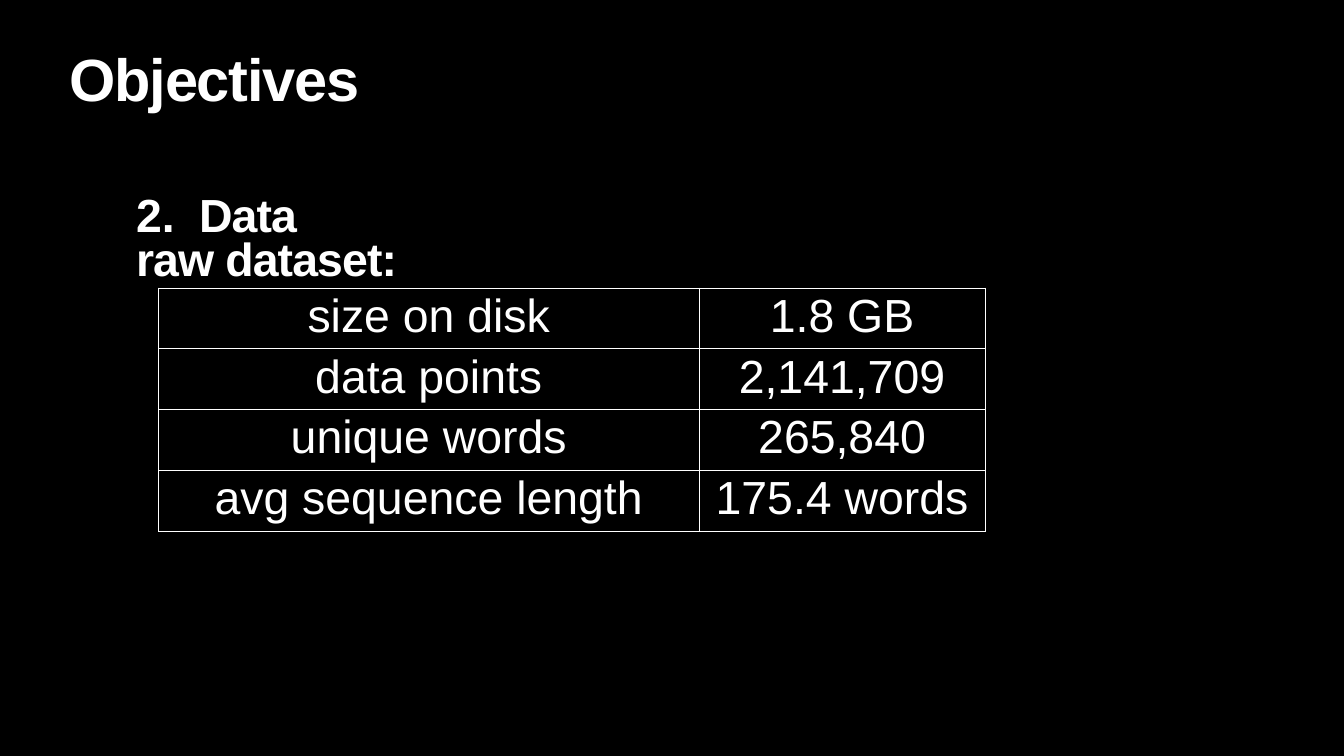
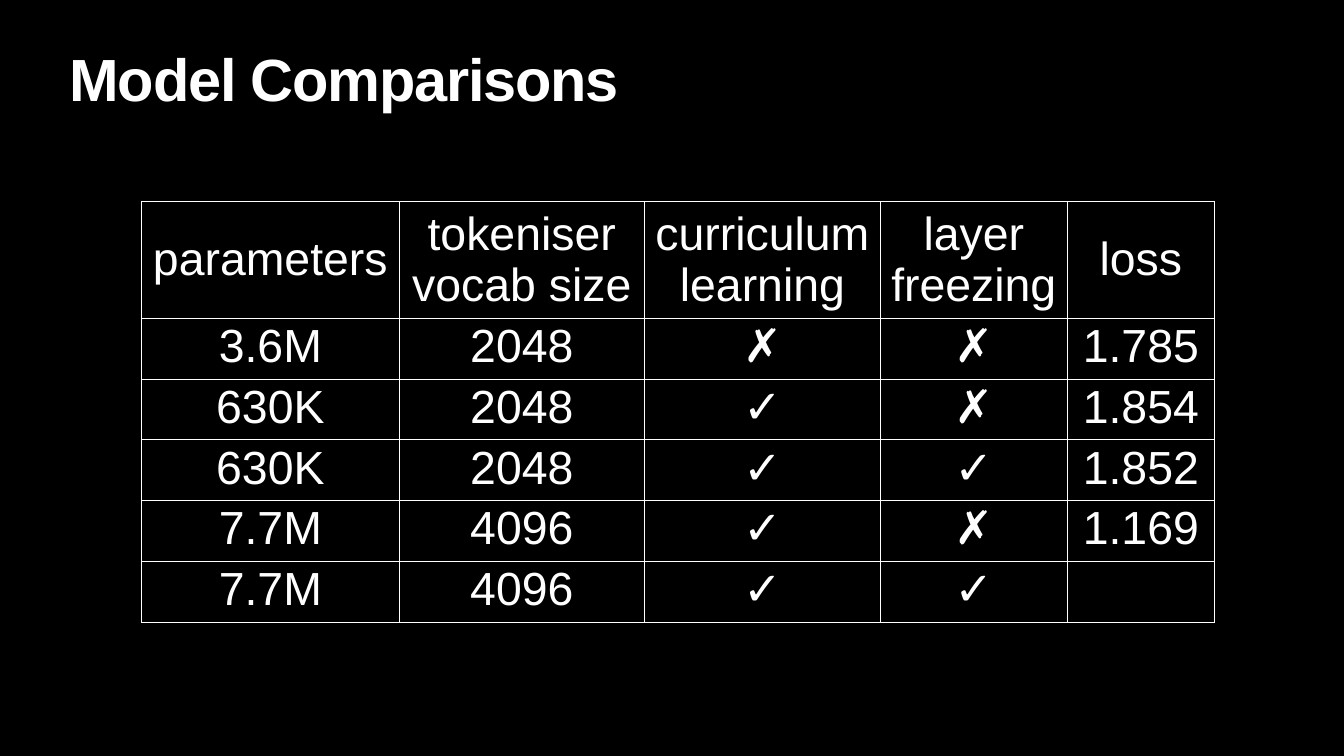
from lxml.etree import SubElement
from pptx import Presentation
from pptx.dml.color import RGBColor
from pptx.enum.text import MSO_ANCHOR, PP_ALIGN
from pptx.oxml.ns import qn
from pptx.util import Inches, Pt

# Shared look
WIDTH, HEIGHT = 26.67, 15
BLACK, WHITE = "000000", "FFFFFF"
TITLE = {"size": Pt(85), "bold": True}
HEADING = {"size": Pt(66.3), "bold": True}
CELL = {"size": Pt(66.3), "bold": False}
BORDER = Pt(1)
INSET = Inches(0.06)
INDENT = Inches(1.25)
YES, NO = "✓", "✗"


def color(value):
    return RGBColor.from_string(value)


def across(percent):
    return Inches(WIDTH * percent / 100)


def down(percent):
    return Inches(HEIGHT * percent / 100)


def add_run(p, text, style, spacing=0):
    r = p.add_run()
    r.text = text
    for name, value in {"name": "Arial", **style}.items():
        setattr(r.font, name, value)
    r.font.color.rgb = color(WHITE)
    if spacing:
        r._r.get_or_add_rPr().set("spc", str(round(spacing * 100)))


def add_text(s, box, lines, style, spacing):
    left, top, width, height = box
    sp = s.shapes.add_textbox(across(left), down(top), across(width), down(height))
    tf = sp.text_frame
    tf.word_wrap = True
    for side in ("left", "top", "right", "bottom"):
        setattr(tf, f"margin_{side}", INSET)
    for i, line in enumerate(lines):
        p = tf.paragraphs[0] if i == 0 else tf.add_paragraph()
        p.line_spacing = 0.8
        add_run(p, line, style, spacing)
    return tf


def number_paragraph(p, start):
    pPr = p._p.get_or_add_pPr()
    pPr.set("marL", str(INDENT))
    pPr.set("indent", str(-INDENT))
    SubElement(pPr, qn("a:buFont"), typeface="+mj-lt")
    SubElement(pPr, qn("a:buAutoNum"), type="arabicPeriod", startAt=str(start))


def outline_cell(cell):
    tcPr = cell._tc.get_or_add_tcPr()
    for edge in ("lnL", "lnR", "lnT", "lnB"):
        ln = SubElement(tcPr, qn(f"a:{edge}"), w=str(BORDER))
        fill = SubElement(ln, qn("a:solidFill"))
        SubElement(fill, qn("a:srgbClr"), val=WHITE)


def add_grid(s, left, top, cols, heights, rows, header=False):
    frame = s.shapes.add_table(len(rows), len(cols), across(left), down(top),
                               across(sum(cols)), down(sum(heights)))
    table = frame.table
    table.first_row = header
    table.horz_banding = False
    for column, width in zip(table.columns, cols):
        column.width = across(width)
    for i, (row, height) in enumerate(zip(rows, heights)):
        table.rows[i].height = down(height)
        for j, text in enumerate(row):
            cell = table.cell(i, j)
            outline_cell(cell)
            cell.fill.background()
            if header and i == 0:
                cell.vertical_anchor = MSO_ANCHOR.MIDDLE
            p = cell.text_frame.paragraphs[0]
            p.alignment = PP_ALIGN.CENTER
            if text:
                add_run(p, text, CELL)


def add_slide(prs, title):
    s = prs.slides.add_slide(prs.slide_layouts[6])
    s.background.fill.solid()
    s.background.fill.fore_color.rgb = color(BLACK)
    add_text(s, (4.95, 6.93, 90.1, 10.47), [title], TITLE, -1.7)
    return s


def add_objectives(prs):
    s = add_slide(prs, "Objectives")
    tf = add_text(s, (9.9, 25.6, 90.1, 74.4), ["Data", "raw dataset:"], HEADING, -1.3)
    number_paragraph(tf.paragraphs[0], 2)
    rows = [
        ("size on disk", "1.8 GB"),
        ("data points", "2,141,709"),
        ("unique words", "265,840"),
        ("avg sequence length", "175.4 words"),
    ]
    add_grid(s, 11.81, 38.07, [40.2, 21.3], [7.53] * len(rows), rows)


def add_comparisons(prs):
    s = add_slide(prs, "Model Comparisons")
    rows = [
        ("parameters", "tokeniser vocab size", "curriculum learning",
         "layer freezing", "loss"),
        ("3.6M", "2048", NO, NO, "1.785"),
        ("630K", "2048", YES, NO, "1.854"),
        ("630K", "2048", YES, YES, "1.852"),
        ("7.7M", "4096", YES, NO, "1.169"),
        ("7.7M", "4096", YES, YES, ""),
    ]
    add_grid(s, 10.54, 26.67, [19.16, 18.26, 17.55, 13.91, 10.95],
             [14.27] + [7.53] * 2 + [7.67] * 3, rows, header=True)


def main():
    prs = Presentation()
    prs.slide_width, prs.slide_height = Inches(WIDTH), Inches(HEIGHT)
    add_objectives(prs)
    add_comparisons(prs)
    prs.save("out.pptx")


if __name__ == "__main__":
    main()
